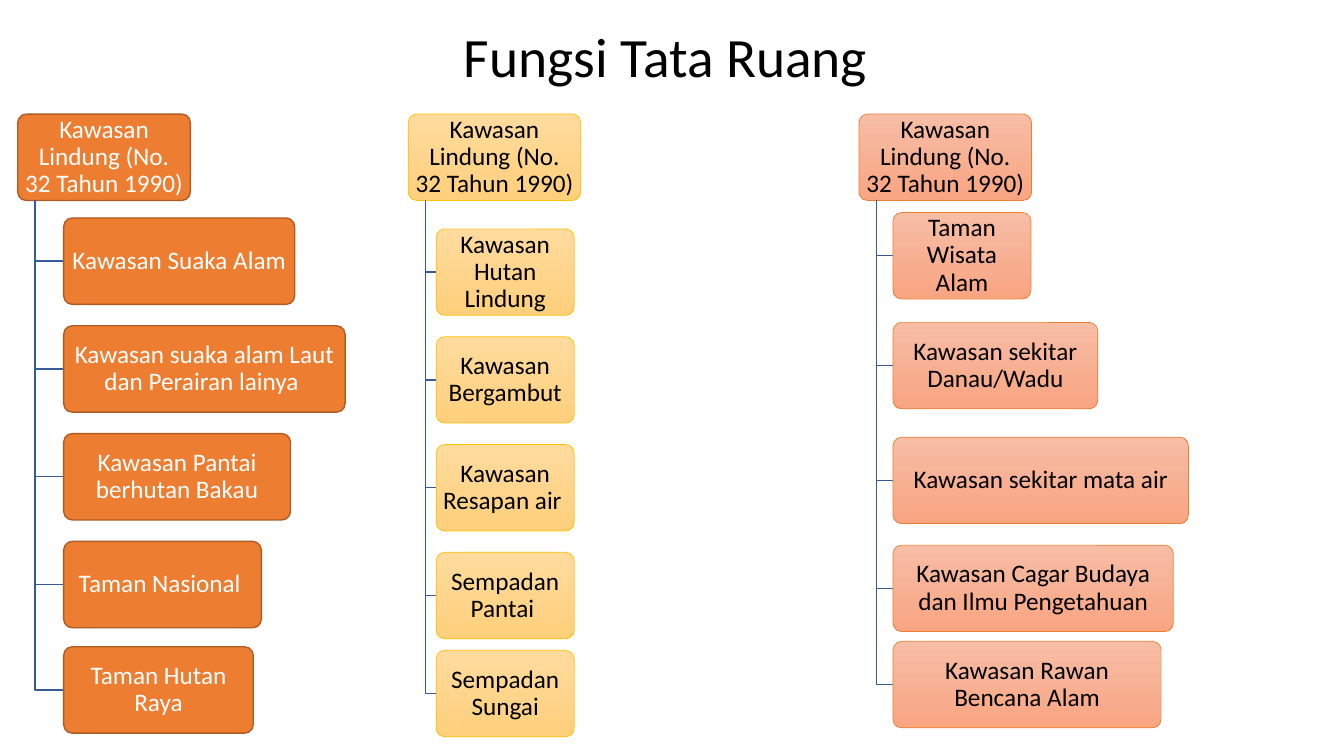
from pptx import Presentation
from pptx.dml.color import RGBColor
from pptx.enum import shapes, text
from pptx.util import Pt

BLACK = RGBColor(0x00, 0x00, 0x00)
WHITE = RGBColor(0xFF, 0xFF, 0xFF)
BRANCH_BLUE = RGBColor(0x36, 0x5B, 0x9D)
ORANGE = RGBColor(0xED, 0x7D, 0x31)
DARK_ORANGE = RGBColor(0xAF, 0x5C, 0x24)
GOLD = RGBColor(0xFF, 0xC0, 0x00)
GOLD_LIGHT = RGBColor(0xFF, 0xDB, 0x9E)
GOLD_DEEP = RGBColor(0xFF, 0xD0, 0x7C)
SALMON_LIGHT = RGBColor(0xF7, 0xBD, 0xA5)
SALMON_DEEP = RGBColor(0xF8, 0xA5, 0x82)

HEADING = "Kawasan Lindung (No. 32 Tahun 1990)"
HEADING_WIDTH = 123.3
BOX_HEIGHT = 61.7
TRUNK_INDENT = 12.3
COLUMN_TOP = 81.5

ORANGE_STYLE = dict(fills=[ORANGE], line=DARK_ORANGE, line_width=1, color=WHITE)
GOLD_STYLE = dict(fills=[GOLD_LIGHT, GOLD_DEEP], line=GOLD, line_width=0.5, color=BLACK)
SALMON_STYLE = dict(fills=[SALMON_LIGHT, SALMON_DEEP], line=ORANGE, line_width=0.5, color=BLACK)

COLUMNS = [
    (291.6, 20, GOLD_STYLE, [
        (82, 98.6, "Kawasan Hutan Lindung"),
        (159, 98.6, "Kawasan Bergambut"),
        (236, 98.6, "Kawasan Resapan air "),
        (313, 98.6, "Sempadan Pantai "),
        (383, 98.6, "Sempadan Sungai"),
    ]),
    (12.7, 32.8, ORANGE_STYLE, [
        (74.2, 165, "Kawasan Suaka Alam "),
        (151.2, 201, "Kawasan suaka alam Laut dan Perairan lainya "),
        (228.2, 162, "Kawasan Pantai berhutan Bakau"),
        (305.2, 141.2, "Taman Nasional "),
        (380.5, 135.4, "Taman Hutan Raya"),
    ]),
    (613.6, 24.3, SALMON_STYLE, [
        (70.3, 98.6, "Taman Wisata Alam"),
        (148.8, 146.2, "Kawasan sekitar Danau/Wadu"),
        (230.8, 211, "Kawasan sekitar mata air"),
        (307.9, 200.2, "Kawasan Cagar Budaya dan Ilmu Pengetahuan"),
        (376.6, 191.5, "Kawasan Rawan Bencana Alam"),
    ]),
]


def write_text(shape, content, size, color, margins):
    frame = shape.text_frame
    frame.word_wrap = True
    frame.auto_size = text.MSO_AUTO_SIZE.NONE
    frame.vertical_anchor = text.MSO_ANCHOR.MIDDLE
    frame.margin_left = frame.margin_right = Pt(margins[0])
    frame.margin_top = frame.margin_bottom = Pt(margins[1])
    paragraph = frame.paragraphs[0]
    paragraph.alignment = text.PP_ALIGN.CENTER
    paragraph.line_spacing = 0.9
    run = paragraph.add_run()
    run.text = content
    run.font.name = "Calibri"
    run.font.size = Pt(size)
    run.font.color.rgb = color


def add_title(slide, left, top, width, height):
    title = slide.shapes.title
    title.left, title.top = Pt(left), Pt(top)
    title.width, title.height = Pt(width), Pt(height)
    write_text(title, "Fungsi Tata Ruang ", size=39.6, color=BLACK, margins=(7.2, 3.6))


def add_box(slide, left, top, width, content, fills, line, line_width, color):
    box = slide.shapes.add_shape(
        shapes.MSO_SHAPE.ROUNDED_RECTANGLE, Pt(left), Pt(top), Pt(width), Pt(BOX_HEIGHT))
    box.adjustments[0] = 0.1
    box.shadow.inherit = False
    if len(fills) == 1:
        box.fill.solid()
        box.fill.fore_color.rgb = fills[0]
    else:
        box.fill.gradient()
        box.fill.gradient_angle = 270
        for stop, fill in zip(box.fill.gradient_stops, fills):
            stop.color.rgb = fill
    box.line.color.rgb = line
    box.line.width = Pt(line_width)
    write_text(box, content, size=18, color=color, margins=(2.7, 1.8))


def add_branch(slide, left, top, right, bottom):
    builder = slide.shapes.build_freeform(Pt(left), Pt(top))
    builder.add_line_segments([(Pt(left), Pt(bottom)), (Pt(right), Pt(bottom))], close=False)
    branch = builder.convert_to_shape()
    branch.shadow.inherit = False
    branch.fill.background()
    branch.line.color.rgb = BRANCH_BLUE
    branch.line.width = Pt(1)


def add_column(slide, left, top, indent, style, areas):
    add_box(slide, left, top, HEADING_WIDTH, HEADING, **style)
    for offset, width, name in areas:
        add_branch(slide, left + TRUNK_INDENT, top + BOX_HEIGHT,
                   left + indent, top + offset + BOX_HEIGHT / 2)
        add_box(slide, left + indent, top + offset, width, name, **style)


def main():
    presentation = Presentation()
    presentation.slide_width, presentation.slide_height = Pt(960), Pt(540)
    slide = presentation.slides.add_slide(presentation.slide_layouts[5])
    add_title(slide, 66, 16.5, 828, 52.5)
    for left, indent, style, areas in COLUMNS:
        add_column(slide, left, COLUMN_TOP, indent, style, areas)
    presentation.save("out.pptx")


if __name__ == "__main__":
    main()
